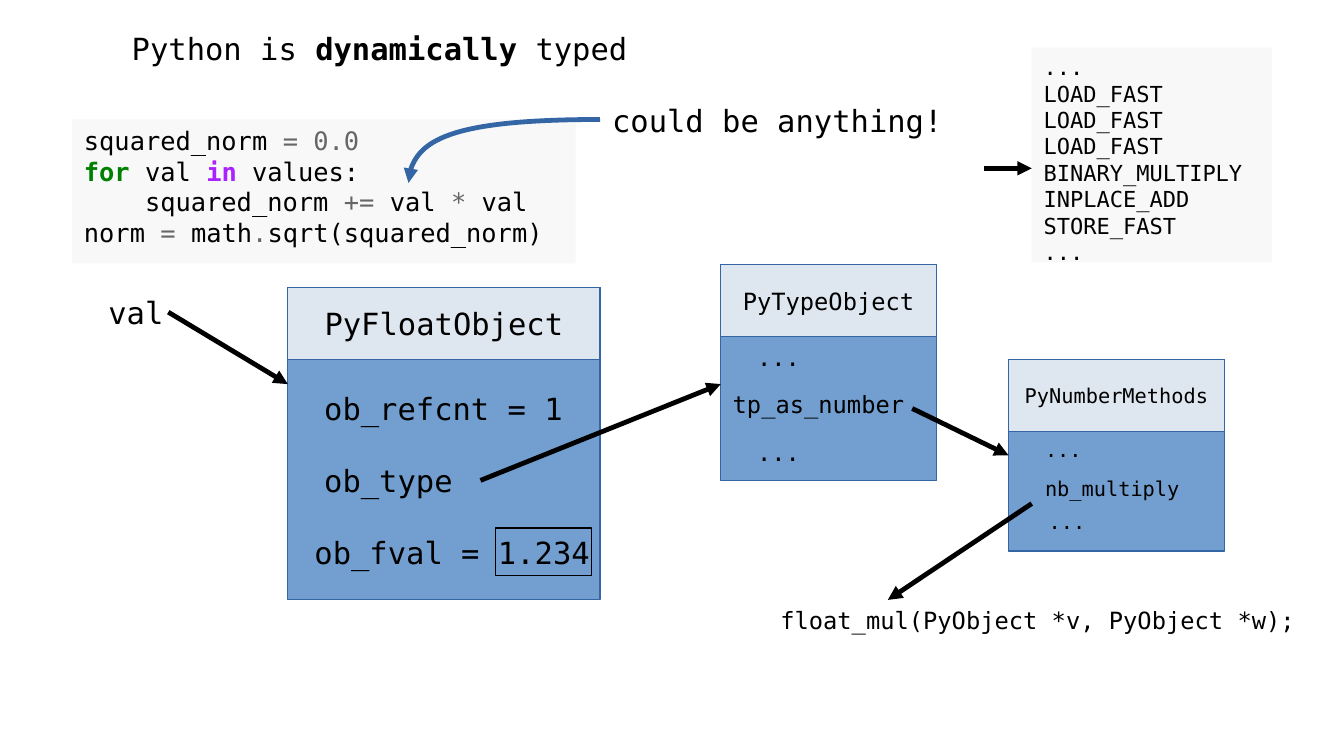
from lxml import etree
from pptx import Presentation
from pptx.dml.color import RGBColor
from pptx.enum.shapes import MSO_CONNECTOR as LINE, MSO_SHAPE as SHAPE
from pptx.enum.text import MSO_ANCHOR as ANCHOR, MSO_AUTO_SIZE as FIT, PP_ALIGN as ALIGN
from pptx.oxml.ns import qn
from pptx.util import Inches, Pt

FONT = "DejaVu Sans Mono"
COLORS = {
    "text": "000000", "operator": "666666", "keyword": "008000", "word": "AA22FF",
    "panel": "F8F8F8", "body": "729FCF", "header": "DEE6EF", "edge": "3465A4",
}
BOLD_STYLES = {"keyword", "word", "strong"}
HEADER_HEIGHT = 0.59
LABEL_HEIGHT = 0.39

CODE = [
    [("squared_norm ", "text"), ("= 0.0", "operator")],
    [("for", "keyword"), (" val ", "text"), ("in", "word"), (" values:", "text")],
    [("    squared_norm ", "text"), ("+=", "operator"), (" val ", "text"),
     ("*", "operator"), (" val", "text")],
    [("norm ", "text"), ("=", "operator"), (" math", "text"), (".", "operator"),
     ("sqrt(squared_norm)", "text")],
]
BYTECODE = ["...", "LOAD_FAST", "LOAD_FAST", "LOAD_FAST", "BINARY_MULTIPLY",
            "INPLACE_ADD", "STORE_FAST", "..."]


def color(name):
    return RGBColor.from_string(COLORS.get(name, COLORS["text"]))


def plain(lines):
    return [[(line, "text")] for line in lines]


def write(shape, lines, size, align=ALIGN.LEFT, anchor=ANCHOR.TOP):
    """Fill a shape with lines, each a list of (text, style) spans."""
    frame = shape.text_frame
    frame.word_wrap = True
    frame.auto_size = FIT.NONE
    frame.vertical_anchor = anchor
    frame.margin_left = frame.margin_right = Inches(0.1)
    frame.margin_top = frame.margin_bottom = Inches(0.05)
    for index, line in enumerate(lines):
        para = frame.add_paragraph() if index else frame.paragraphs[0]
        para.alignment = align
        para.line_spacing = 1.0
        para.space_before = Pt(0)
        for text, style in line:
            span = para.add_run()
            span.text = text
            span.font.name = FONT
            span.font.size = Pt(size)
            span.font.bold = style in BOLD_STYLES
            span.font.color.rgb = color(style)


def add_label(page, box, text, size):
    label = page.shapes.add_textbox(*map(Inches, box))
    write(label, plain([text]), size)


def add_box(page, box, fill, edge=None):
    shape = page.shapes.add_shape(SHAPE.RECTANGLE, *map(Inches, box))
    shape.shadow.inherit = False
    shape.fill.solid()
    shape.fill.fore_color.rgb = color(fill)
    if edge:
        shape.line.color.rgb = color(edge)
        shape.line.width = Pt(0)
    else:
        shape.line.fill.background()
    return shape


def style_arrow(shape, name):
    shape.line.color.rgb = color(name)
    shape.line.width = Pt(2.83)
    etree.SubElement(shape.line._get_or_add_ln(), qn("a:tailEnd"), type="triangle")


def add_arrow(page, start, end):
    arrow = page.shapes.add_connector(LINE.STRAIGHT, *map(Inches, start + end))
    style_arrow(arrow, "text")
    etree.SubElement(arrow._element.spPr, qn("a:effectLst"))
    return arrow


def add_curved_arrow(page, start, controls, end):
    builder = page.shapes.build_freeform(*map(Inches, start), scale=1.0)
    points = [tuple(map(Inches, point)) for point in (*controls, end)]
    builder.add_line_segments(points, close=False)
    curve = builder.convert_to_shape()
    curve.shadow.inherit = False
    curve.fill.background()
    style_arrow(curve, "edge")
    # Turn the three segments into one cubic curve
    outline = curve._element.spPr.find(".//" + qn("a:path"))
    segments = outline.findall(qn("a:lnTo"))
    cubic = etree.SubElement(outline, qn("a:cubicBezTo"))
    for segment in segments:
        cubic.append(segment[0])
        outline.remove(segment)


def add_title(page, box, spans, size):
    title = page.shapes.title
    title.left, title.top, title.width, title.height = map(Inches, box)
    write(title, [spans], size)


def add_panel(page, box, lines, size):
    write(add_box(page, box, "panel"), lines, size)


def add_struct(page, box, name, size, fields, value_box=None):
    """A memory layout: header, and fields as (text, x, y, width) within the box."""
    left, top, width, height = box
    body = add_box(page, box, "body", "edge")
    header = add_box(page, (left, top, width, HEADER_HEIGHT), "header", "edge")
    write(header, plain([name]), size, ALIGN.CENTER, ANCHOR.MIDDLE)
    if value_box:
        x, y, value_width = value_box
        add_box(page, (left + x, top + y, value_width, LABEL_HEIGHT), "body", "text")
    for text, x, y, field_width in fields:
        add_label(page, (left + x, top + y, field_width, LABEL_HEIGHT), text, size)
    return body


def build_typing_slide(page):
    # Title and code
    add_title(page, (0.98, 0.2, 5.12, 0.39),
              [("Python is ", "text"), ("dynamically", "strong"), (" typed", "text")], 18)
    add_panel(page, (0.59, 0.98, 4.13, 1.18), CODE, 15)
    add_panel(page, (8.46, 0.39, 1.97, 1.76), plain(BYTECODE), 13)

    # Remarks
    add_label(page, (4.92, 0.79, 2.95, LABEL_HEIGHT), "could be anything!", 18)
    add_label(page, (0.79, 2.36, 0.79, LABEL_HEIGHT), "val", 18)
    add_label(page, (6.3, 4.92, 4.53, 0.55), "float_mul(PyObject *v, PyObject *w);", 14)

    # Object layouts
    add_struct(page, (2.36, 2.36, 2.56, 2.56), "PyFloatObject", 18,
               [("ob_refcnt = 1", 0.2, 0.79, 2.17), ("ob_type", 0.2, 1.38, 1.97),
                ("ob_fval = 1.234", 0.12, 1.97, 2.64)], value_box=(1.7, 1.97, 0.79))
    add_struct(page, (5.91, 2.17, 1.77, 1.77), "PyTypeObject", 14,
               [("...", 0.2, 0.59, 0.59), ("tp_as_number", 0, 0.98, 1.77),
                ("...", 0.2, 1.37, 0.59)])
    methods = add_struct(page, (8.27, 2.95, 1.77, 1.57), "PyNumberMethods", 12,
                         [("...", 0.2, 0.59, 0.59), ("nb_multiply", 0.2, 0.91, 1.38),
                          ("...", 0.23, 1.18, 0.59)])

    # Arrows
    add_curved_arrow(page, (4.92, 0.98), [(3.74, 0.98), (3.35, 1.18)], (3.35, 1.5))
    for start, end in [((1.38, 2.56), (2.36, 3.15)), ((3.94, 3.94), (5.91, 3.15)),
                       ((8.46, 4.13), (7.28, 4.92)), ((8.07, 1.38), (8.46, 1.38))]:
        add_arrow(page, start, end)
    add_arrow(page, (7.48, 3.35), (8.27, 3.74)).end_connect(methods, 1)


def main():
    deck = Presentation()
    deck.slide_width, deck.slide_height = Inches(11.02), Inches(6.2)
    build_typing_slide(deck.slides.add_slide(deck.slide_layouts.get_by_name("Title Only")))
    deck.save("out.pptx")


if __name__ == "__main__":
    main()
